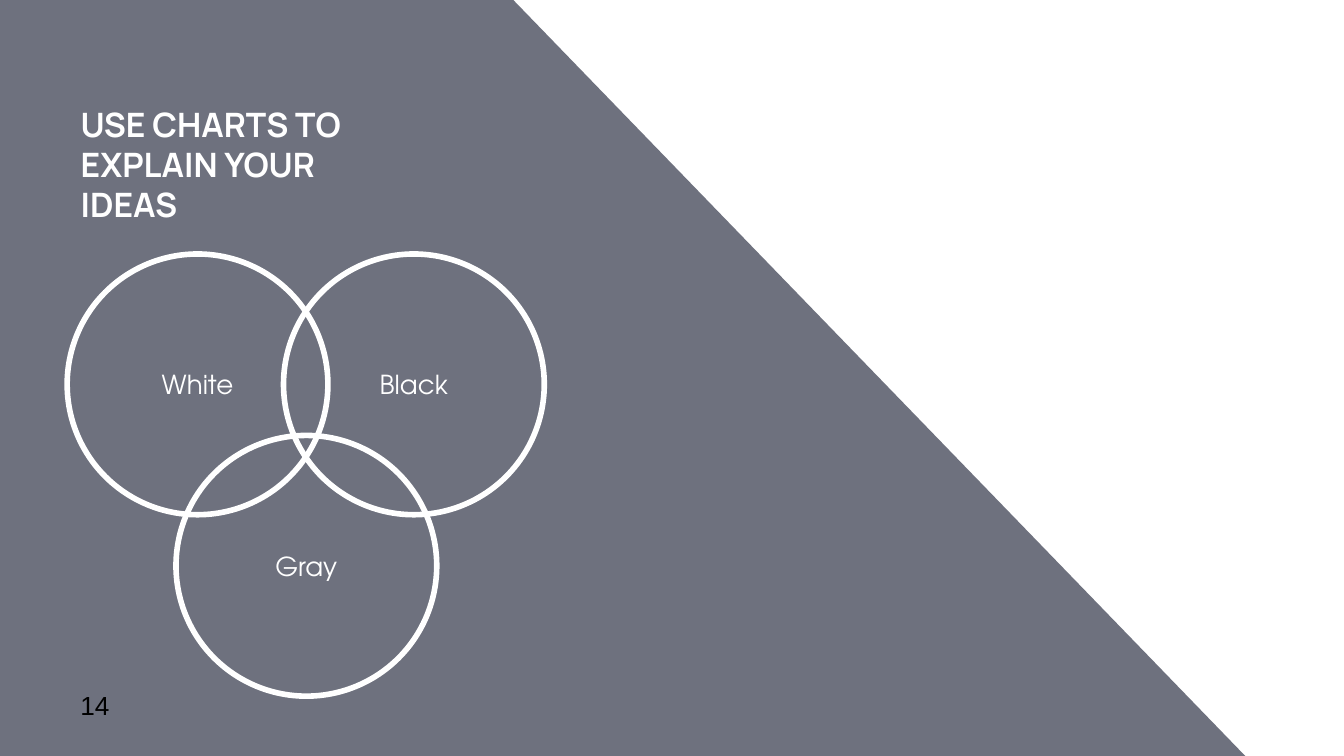
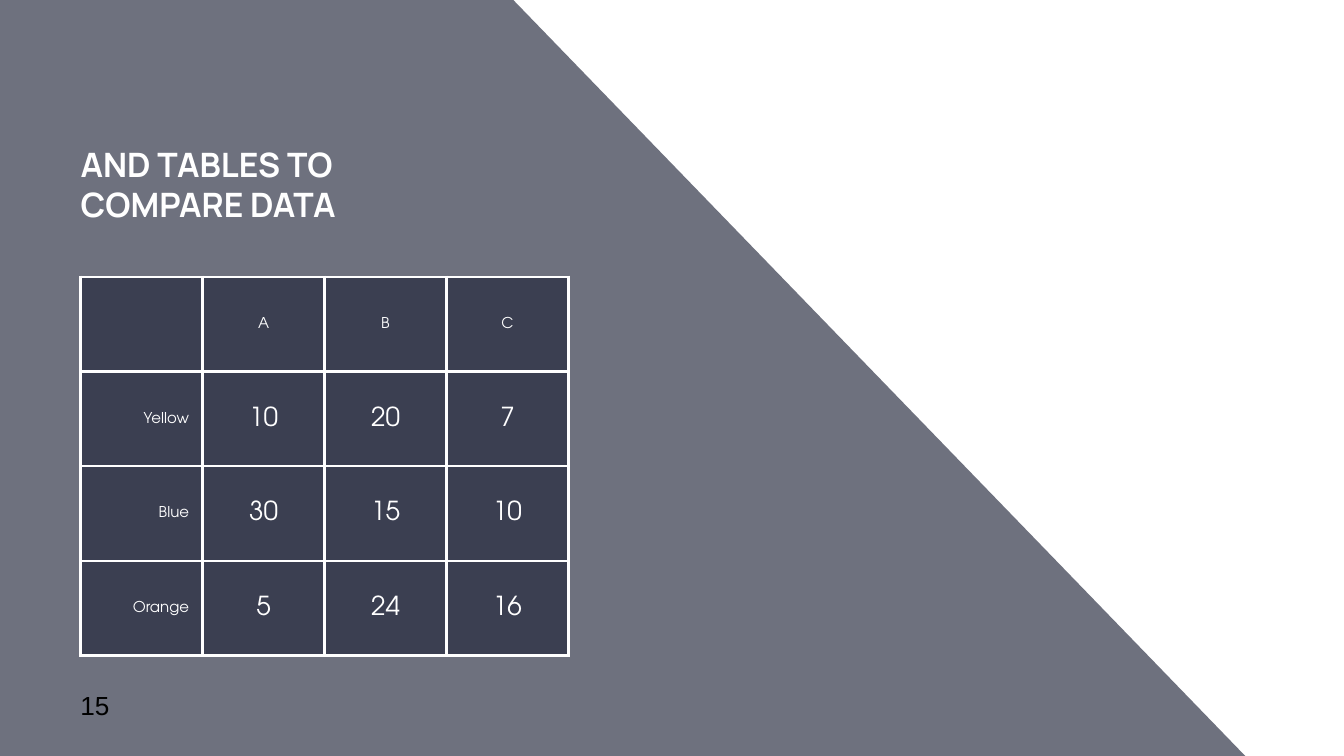
"""Builds two slides, a three-circle diagram and a comparison table, on a slanted band."""
from typing import NamedTuple

from lxml import etree
from pptx import Presentation
from pptx import util as u
from pptx.dml.color import RGBColor
from pptx.enum import shapes, text
from pptx.oxml.ns import qn

WHITE, BLACK, NAVY = "FFFFFF", "000000", "212539"
NAVY_OPACITY = 65
TITLE_FONT, BODY_FONT, NUMBER_FONT = "Manrope", "TeX Gyre Adventor", "Arial"
BAND_CORNERS = [(3.81, -0.01), (0, 0), (0, 5.63), (9.27, 5.63)]
DIAMETER = 1.94
LEFT, CENTER, RIGHT = text.PP_ALIGN.LEFT, text.PP_ALIGN.CENTER, text.PP_ALIGN.RIGHT


class Box(NamedTuple):
    left: float
    top: float
    width: float
    height: float

    def lengths(self) -> list:
        return [u.Inches(value) for value in self]


class Circle(NamedTuple):
    label: str
    left: float
    top: float


class Style(NamedTuple):
    font: str
    size: int
    color: str = WHITE
    bold: bool = False
    align: text.PP_ALIGN = LEFT


TITLE_BOX = Box(0.5, 1.08, 2.61, 0.69)
NUMBER_BOX = Box(0.5, 5.11, 0.6, 0.27)
TABLE_BOX = Box(0.6, 2.06, 3.63, 2.82)
TITLE_STYLE = Style(TITLE_FONT, 18, bold=True)
NUMBER_STYLE = Style(NUMBER_FONT, 14, BLACK)
VALUE_STYLE = Style(BODY_FONT, 14, align=CENTER)
COLUMN_STYLE = Style(BODY_FONT, 8, align=CENTER)
ROW_STYLE = Style(BODY_FONT, 8, align=RIGHT)

CIRCLES = [
    Circle("Gray", 1.31, 3.24),
    Circle("White", 0.5, 1.89),
    Circle("Black", 2.11, 1.89),
]
TABLE_ROWS = [
    ["", "A", "B", "C"],
    ["Yellow", "10", "20", "7"],
    ["Blue", "30", "15", "10"],
    ["Orange", "5", "24", "16"],
]


def rgb(color: str) -> RGBColor:
    return RGBColor.from_string(color)


def paint(fill, color: str, holder, opacity: int) -> None:
    fill.solid()
    fill.fore_color.rgb = rgb(color)
    tint = next(holder.iter(qn("a:srgbClr")))
    etree.SubElement(tint, qn("a:alpha"), val=str(opacity * 1000))


def write(frame, words: str, style: Style) -> None:
    frame.text = words
    paragraph = frame.paragraphs[0]
    paragraph.alignment = style.align
    for run in paragraph.runs:
        run.font.name = style.font
        run.font.size = u.Pt(style.size)
        run.font.bold = style.bold
        run.font.color.rgb = rgb(style.color)


def write_box(shape, words: str, style: Style, anchor=text.MSO_ANCHOR.MIDDLE) -> None:
    frame = shape.text_frame
    frame.word_wrap = True
    frame.auto_size = text.MSO_AUTO_SIZE.NONE
    frame.vertical_anchor = anchor
    frame.margin_left = frame.margin_right = u.Inches(0.1)
    frame.margin_top = frame.margin_bottom = u.Inches(0.1)
    write(frame, words, style)


def move_band_to_layout(slide, layout) -> None:
    corners = [(u.Inches(x), u.Inches(y)) for x, y in BAND_CORNERS]
    builder = slide.shapes.build_freeform(*corners[0])
    builder.add_line_segments(corners[1:], close=True)
    band = builder.convert_to_shape()
    band.shadow.inherit = False
    band.line.fill.background()
    paint(band.fill, NAVY, band.element.spPr, NAVY_OPACITY)
    for footer in list(layout.placeholders)[1:]:
        footer.element.getparent().remove(footer.element)
    layout.shapes.element.append(band.element)


def add_slide(deck, layout, title: str, number: int):
    slide = deck.slides.add_slide(layout)
    heading = slide.shapes.title
    heading.left, heading.top, heading.width, heading.height = TITLE_BOX.lengths()
    write_box(heading, title, TITLE_STYLE, text.MSO_ANCHOR.BOTTOM)
    page = slide.shapes.add_textbox(*NUMBER_BOX.lengths())
    write_box(page, str(number), NUMBER_STYLE)
    return slide


def add_circle(slide, circle: Circle) -> None:
    box = Box(circle.left, circle.top, DIAMETER, DIAMETER)
    ring = slide.shapes.add_shape(shapes.MSO_SHAPE.OVAL, *box.lengths())
    ring.shadow.inherit = False
    ring.fill.background()
    ring.line.color.rgb = rgb(WHITE)
    ring.line.width = u.Pt(3)
    write_box(ring, circle.label, VALUE_STYLE)


def add_borders(properties, color: str, width: float) -> None:
    for index, side in enumerate(("lnL", "lnR", "lnT", "lnB")):
        border = etree.Element(qn(f"a:{side}"), w=str(u.Pt(width)))
        fill = etree.SubElement(border, qn("a:solidFill"))
        etree.SubElement(fill, qn("a:srgbClr"), val=color)
        properties.insert(index, border)


def cell_style(row: int, column: int) -> Style:
    if row == 0:
        return COLUMN_STYLE
    return ROW_STYLE if column == 0 else VALUE_STYLE


def add_comparison(slide, rows: list[list[str]]) -> None:
    frame = slide.shapes.add_table(len(rows), len(rows[0]), *TABLE_BOX.lengths())
    table = frame.table
    table.first_row = table.horz_banding = False
    for r, row in enumerate(rows):
        for c, words in enumerate(row):
            cell = table.cell(r, c)
            cell.vertical_anchor = text.MSO_ANCHOR.MIDDLE
            cell.margin_left = cell.margin_right = u.Inches(0.1)
            cell.margin_top = cell.margin_bottom = u.Inches(0.07)
            write(cell.text_frame, words, cell_style(r, c))
            properties = cell._tc.get_or_add_tcPr()
            paint(cell.fill, NAVY, properties, NAVY_OPACITY)
            add_borders(properties, WHITE, 1.5)


def main() -> None:
    deck = Presentation()
    deck.slide_width = u.Inches(10)
    deck.slide_height = deck.slide_width * 9 // 16
    layout = deck.slide_layouts[5]

    diagram = add_slide(deck, layout, "USE CHARTS TO EXPLAIN YOUR IDEAS", 14)
    move_band_to_layout(diagram, layout)
    for circle in CIRCLES:
        add_circle(diagram, circle)

    comparison = add_slide(deck, layout, "AND TABLES TO COMPARE DATA", 15)
    add_comparison(comparison, TABLE_ROWS)

    deck.save("out.pptx")


if __name__ == "__main__":
    main()
